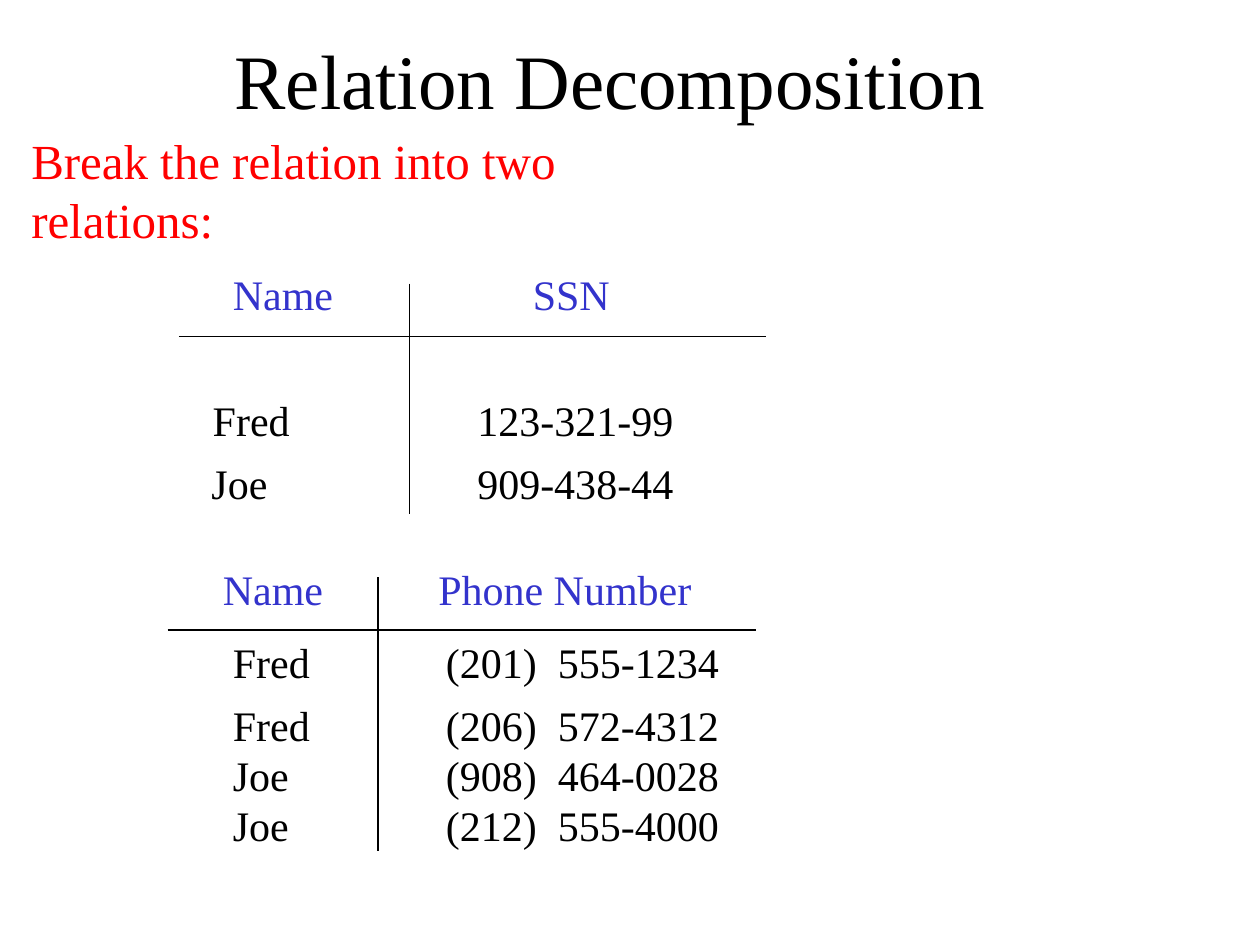
import pptx
import pptx.util
import pptx.dml.color
import pptx.enum.shapes
import pptx.enum.text
import pptx.oxml.ns
import lxml.etree

Inches, Pt = pptx.util.Inches, pptx.util.Pt
ANCHOR = pptx.enum.text.MSO_ANCHOR
COLORS = {"text": "000000", "header": "3333CC", "lead": "FF0000"}
FONT = "Times New Roman"
INSET = 0.1


def style(p, size, color):
    for r in p.runs:
        r.font.name = FONT
        r.font.size = Pt(size)
        r.font.color.rgb = pptx.dml.color.RGBColor.from_string(COLORS[color])


def set_tab(p, pos):
    """Give the paragraph one left tab stop, in inches from the text edge."""
    pPr = p._p.get_or_add_pPr()
    tabs = lxml.etree.SubElement(pPr, pptx.oxml.ns.qn("a:tabLst"))
    lxml.etree.SubElement(tabs, pptx.oxml.ns.qn("a:tab"),
                          pos=str(Inches(pos)), algn="l")


def add_text(s, box, lines, size, color, tab=None, anchor=ANCHOR.TOP):
    sp = s.shapes.add_textbox(*map(Inches, box))
    tf = sp.text_frame
    tf.word_wrap = True
    tf.vertical_anchor = anchor
    tf.text = "\n".join(lines)
    for p in tf.paragraphs:
        style(p, size, color)
        if tab is not None:
            set_tab(p, tab)


def add_rule(s, x1, y1, x2, y2):
    line = s.shapes.add_connector(pptx.enum.shapes.MSO_CONNECTOR.STRAIGHT,
                                  *map(Inches, (x1, y1, x2, y2)))
    line.line.width = Pt(0.75)
    line.line.color.rgb = pptx.dml.color.RGBColor.from_string(COLORS["text"])
    lxml.etree.SubElement(line._element.spPr, pptx.oxml.ns.qn("a:effectLst"))


def add_title(s, box, text):
    sp = s.shapes.title
    sp.left, sp.top, sp.width, sp.height = map(Inches, box)
    tf = sp.text_frame
    tf.text = text
    tf.auto_size = pptx.enum.text.MSO_AUTO_SIZE.NONE
    tf.vertical_anchor = ANCHOR.MIDDLE
    tf.paragraphs[0].alignment = pptx.enum.text.PP_ALIGN.CENTER
    style(tf.paragraphs[0], 44, "text")


def add_relation(s, box, divider, blocks):
    """Draw a ruled relation; blocks are (dx, dy, width, height, column dx, color, rows)."""
    x, y, w, h = box
    for dx, dy, bw, bh, column, color, rows in blocks:
        lines = ["\t".join(row) for row in rows]
        add_text(s, (x + dx, y + dy, bw, bh), lines, 24, color,
                 tab=column - dx - INSET)
    add_rule(s, x, y + 0.42, x + w, y + 0.42)
    add_rule(s, x + divider, y, x + divider, y + h)


def main():
    prs = pptx.Presentation()
    prs.slide_width, prs.slide_height = Inches(10), Inches(7.5)
    s = prs.slides.add_slide(prs.slide_layouts[5])

    add_title(s, (0.67, 0, 8.5, 1.25), "Relation Decomposition ")
    add_text(s, (0.15, 1.05, 5.9, 0.97),
             ["Break the relation into two relations:"], 28, "lead",
             anchor=ANCHOR.BOTTOM)

    add_relation(s, (1.42, 2.25, 4.66, 1.83), 1.83, [
        (0.33, -0.17, 3.19, 0.5, 2.81, "header", [("Name", "SSN")]),
        (0.17, 0.83, 3.86, 0.5, 2.37, "text", [("Fred", "123-321-99")]),
        (0.16, 1.33, 6.53, 0.5, 2.37, "text", [("Joe", "909-438-44")]),
    ])
    add_relation(s, (1.33, 4.58, 4.67, 2.17), 1.67, [
        (0.34, -0.16, 3.92, 0.5, 2.15, "header", [("Name", "Phone Number")]),
        (0.42, 0.42, 4.06, 0.5, 2.21, "text", [("Fred", "(201)  555-1234")]),
        (0.42, 0.92, 6.53, 1.3, 2.21, "text", [
            ("Fred", "(206)  572-4312"),
            ("Joe", "(908)  464-0028"),
            ("Joe", "(212)  555-4000"),
        ]),
    ])
    prs.save("out.pptx")


if __name__ == "__main__":
    main()
